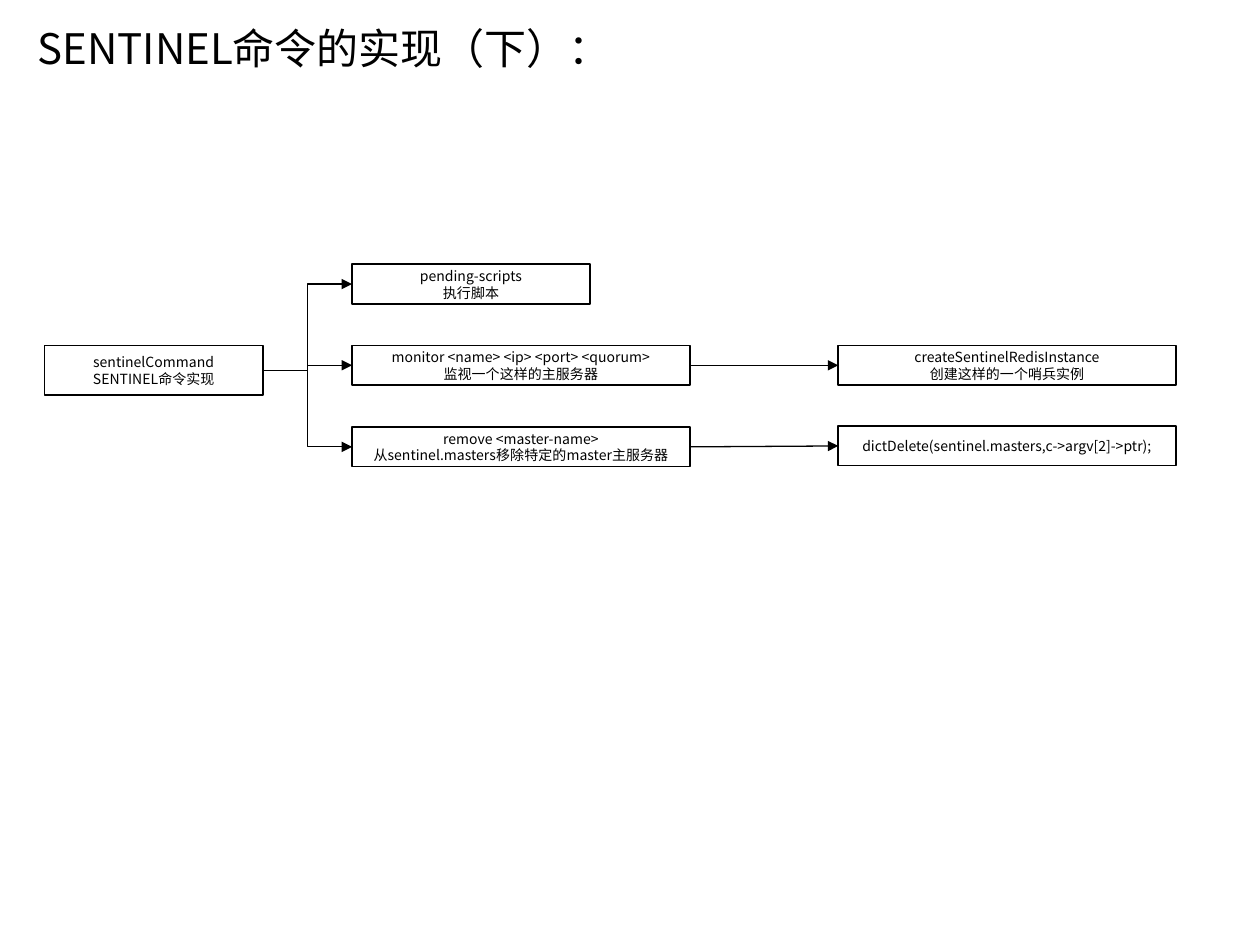
from dataclasses import dataclass

from lxml import etree
from pptx import Presentation
from pptx.dml.color import RGBColor
from pptx.enum.shapes import MSO_CONNECTOR, MSO_SHAPE
from pptx.enum.text import MSO_ANCHOR, MSO_AUTO_SIZE, PP_ALIGN
from pptx.oxml.ns import qn
from pptx.shapes.autoshape import Shape
from pptx.slide import Slide
from pptx.util import Pt

RECTANGLE = MSO_SHAPE.RECTANGLE
ELBOW, STRAIGHT = MSO_CONNECTOR.ELBOW, MSO_CONNECTOR.STRAIGHT
LEFT_SIDE, RIGHT_SIDE = 1, 3
TITLE_ONLY = 5
FONT = "Noto Sans CJK SC"
BLACK, WHITE = "000000", "FFFFFF"

COMMAND_LEFT, OPTION_LEFT, ACTION_LEFT = 25.4, 201.2, 479
TOP_ROW, MIDDLE_ROW, BOTTOM_ROW = 151.1, 197.5, 244.1
WIDE, BOX_HEIGHT = 193, 22.5


@dataclass
class Box:
    key: str
    lines: list[str]
    left: float
    top: float
    width: float = WIDE
    height: float = BOX_HEIGHT


@dataclass
class Arrow:
    start: str
    end: str
    kind: MSO_CONNECTOR


BOXES = [
    Box("command", ["sentinelCommand", "SENTINEL命令实现"],
        COMMAND_LEFT, MIDDLE_ROW, 125, 28.2),
    Box("scripts", ["pending-scripts", "执行脚本"], OPTION_LEFT, TOP_ROW, 136),
    Box("monitor", ["monitor <name> <ip> <port> <quorum>", "监视一个这样的主服务器"],
        OPTION_LEFT, MIDDLE_ROW),
    Box("create", ["createSentinelRedisInstance", "创建这样的一个哨兵实例"],
        ACTION_LEFT, MIDDLE_ROW),
    Box("remove", ["remove <master-name>", "从sentinel.masters移除特定的master主服务器"],
        OPTION_LEFT, BOTTOM_ROW),
    Box("delete", ["dictDelete(sentinel.masters,c->argv[2]->ptr);"],
        ACTION_LEFT, BOTTOM_ROW - 0.5),
]

ARROWS = [
    Arrow("command", "scripts", ELBOW),
    Arrow("command", "remove", ELBOW),
    Arrow("command", "monitor", ELBOW),
    Arrow("monitor", "create", STRAIGHT),
    Arrow("remove", "delete", STRAIGHT),
]


def color(value: str) -> RGBColor:
    return RGBColor.from_string(value)


def apply_format(target: object, values: dict) -> None:
    for name, value in values.items():
        setattr(target, name, value)


def write_text(shape: Shape, lines: list[str], size: float, alignment: PP_ALIGN) -> None:
    """Fill the shape with one paragraph a line, in the slide's font."""
    shape.text_frame.text = "\n".join(lines)
    for paragraph in shape.text_frame.paragraphs:
        paragraph.alignment = alignment
        run = paragraph.runs[0]
        apply_format(run.font, {"name": FONT, "size": Pt(size), "bold": False})
        run.font.color.rgb = color(BLACK)
        east_asian = etree.SubElement(run.font._element, qn("a:ea"))
        east_asian.set("typeface", FONT)


def set_title(slide: Slide, text: str) -> None:
    title = slide.shapes.title
    apply_format(title, {"left": Pt(14.2), "top": Pt(9.4),
                         "width": Pt(578), "height": Pt(36)})
    write_text(title, [text], 24, PP_ALIGN.LEFT)
    apply_format(title.text_frame, {
        "word_wrap": True, "vertical_anchor": MSO_ANCHOR.TOP,
        "auto_size": MSO_AUTO_SIZE.SHAPE_TO_FIT_TEXT})


def draw_box(slide: Slide, box: Box) -> Shape:
    shape = slide.shapes.add_shape(RECTANGLE, Pt(box.left), Pt(box.top),
                                   Pt(box.width), Pt(box.height))
    shape.shadow.inherit = False
    shape.fill.solid()
    shape.fill.fore_color.rgb = color(WHITE)
    shape.line.color.rgb = color(BLACK)
    shape.line.width = Pt(1)
    write_text(shape, box.lines, 8, PP_ALIGN.CENTER)
    apply_format(shape.text_frame, {
        "word_wrap": True, "vertical_anchor": MSO_ANCHOR.MIDDLE,
        "margin_top": 0, "margin_bottom": 0})
    return shape


def draw_arrow(slide: Slide, arrow: Arrow, shapes: dict[str, Shape]) -> None:
    start, end = shapes[arrow.start], shapes[arrow.end]
    connector = slide.shapes.add_connector(
        arrow.kind, start.left + start.width, start.top + start.height // 2,
        end.left, end.top + end.height // 2)
    connector.begin_connect(start, RIGHT_SIDE)
    connector.end_connect(end, LEFT_SIDE)
    connector.line.color.rgb = color(BLACK)
    connector.line.width = Pt(0.75)
    tail = etree.SubElement(connector.line._get_or_add_ln(), qn("a:tailEnd"))
    tail.set("type", "triangle")
    etree.SubElement(connector._element.spPr, qn("a:effectLst"))


def main() -> None:
    presentation = Presentation()
    apply_format(presentation, {"slide_width": Pt(720), "slide_height": Pt(540)})
    slide = presentation.slides.add_slide(presentation.slide_layouts[TITLE_ONLY])
    set_title(slide, "SENTINEL命令的实现（下）：")
    shapes = {box.key: draw_box(slide, box) for box in BOXES}
    for arrow in ARROWS:
        draw_arrow(slide, arrow, shapes)
    presentation.save("out.pptx")


if __name__ == "__main__":
    main()
